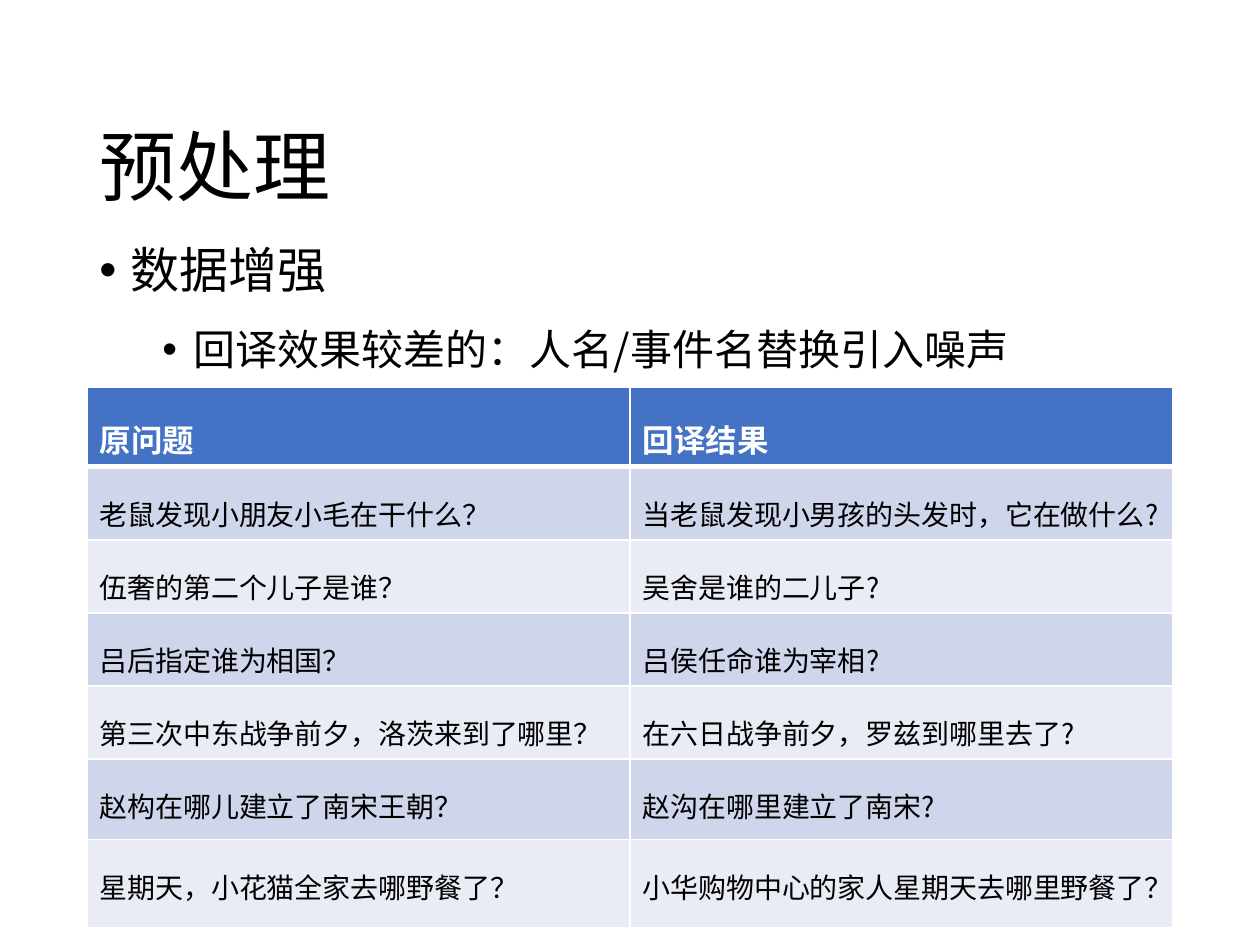
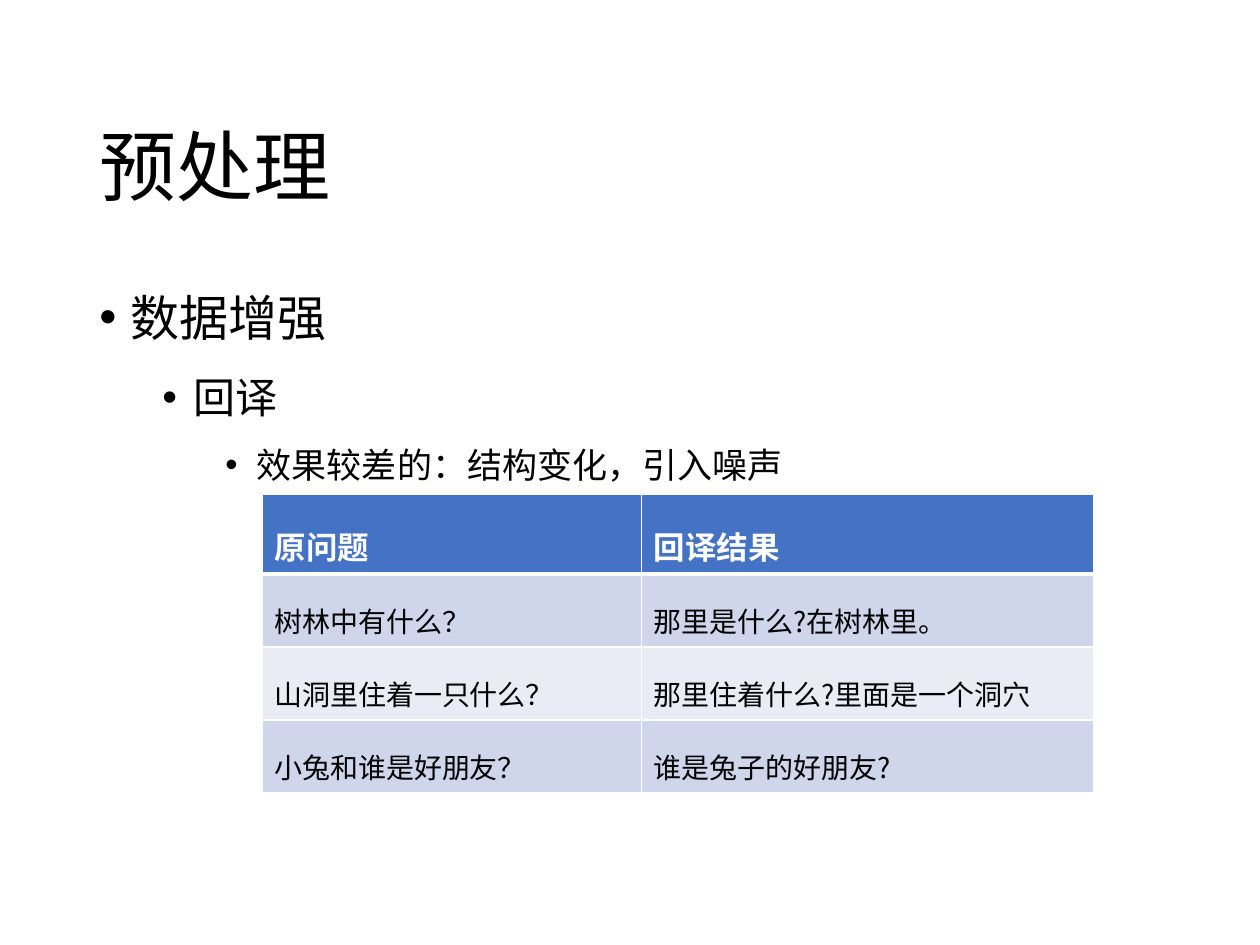
from dataclasses import dataclass
from typing import NamedTuple

from lxml.etree import SubElement as add_child
from pptx import Presentation
from pptx.dml.color import RGBColor
from pptx.enum.text import MSO_ANCHOR as Anchor
from pptx.oxml.ns import qn
from pptx.util import Emu, Inches, Pt

FONT = "Noto Sans CJK SC"
COLORS = {
    "text": "000000",
    "light": "FFFFFF",
    "header": "4472C4",
    "odd_row": "CFD5EA",
    "even_row": "E9EBF5",
}
SLIDE_WIDTH, SLIDE_HEIGHT = Inches(10), Inches(7.5)
COLUMNS, ROWS = 100, 75
TITLE = "预处理"
HEADINGS = ("原问题", "回译结果")
LINE_SPACING = 1.5
BULLET_SIZES = (28, 24, 20)
BULLET_STEP = 5
BULLET_HANG = 2.5
HEADER_HEIGHT = 6.35
ROW_HEIGHT = 5.8


class Area(NamedTuple):
    column: float
    row: float
    width: float
    height: float


TITLE_AREA = Area(6.9, 4, 86.2, 14.5)


@dataclass(frozen=True)
class QuestionTable:
    column: float
    row: float
    widths: tuple[float, ...]
    heights: tuple[float, ...]
    pairs: tuple[tuple[str, str], ...]


@dataclass(frozen=True)
class Page:
    body: Area
    bullets: tuple[str, ...]
    table: QuestionTable


PAGES = (
    Page(
        Area(6.9, 16.2, 86.2, 47.6),
        ("数据增强", "回译效果较差的：人名/事件名替换引入噪声"),
        QuestionTable(
            6.9, 30.7, (43.1, 43.1), (HEADER_HEIGHT, *[ROW_HEIGHT] * 4, 6.4, 7),
            (
                ("老鼠发现小朋友小毛在干什么？", "当老鼠发现小男孩的头发时，它在做什么?"),
                ("伍奢的第二个儿子是谁？", "吴舍是谁的二儿子?"),
                ("吕后指定谁为相国？", "吕侯任命谁为宰相?"),
                ("第三次中东战争前夕，洛茨来到了哪里？", "在六日战争前夕，罗兹到哪里去了?"),
                ("赵构在哪儿建立了南宋王朝？", "赵沟在哪里建立了南宋?"),
                ("星期天，小花猫全家去哪野餐了？", "小华购物中心的家人星期天去哪里野餐了？"),
            ),
        ),
    ),
    Page(
        Area(6.9, 20, 86.2, 47.6),
        ("数据增强", "回译", "效果较差的：结构变化，引入噪声"),
        QuestionTable(
            20.8, 39.2, (30.1, 35.9), (HEADER_HEIGHT, *[ROW_HEIGHT] * 3),
            (
                ("树林中有什么？", "那里是什么?在树林里。"),
                ("山洞里住着一只什么？", "那里住着什么?里面是一个洞穴"),
                ("小兔和谁是好朋友？", "谁是兔子的好朋友?"),
            ),
        ),
    ),
)


def across(columns: float) -> Emu:
    return Emu(round(SLIDE_WIDTH * columns / COLUMNS))


def down(rows: float) -> Emu:
    return Emu(round(SLIDE_HEIGHT * rows / ROWS))


def write(para, text: str, size: float, color: str = "text", bold: bool = False) -> None:
    para.add_run().text = text
    para.line_spacing = LINE_SPACING
    font = para.font
    font.size, font.bold, font.name = Pt(size), bold, FONT
    font.color.rgb = RGBColor.from_string(COLORS[color])
    properties = para._p.get_or_add_pPr().find(qn("a:defRPr"))
    add_child(properties, qn("a:ea"), typeface=FONT)


def add_text_frame(slide, area: Area):
    box = slide.shapes.add_textbox(
        across(area.column), down(area.row), across(area.width), down(area.height))
    box.text_frame.word_wrap = True
    return box.text_frame


def add_title(slide) -> None:
    frame = add_text_frame(slide, TITLE_AREA)
    frame.vertical_anchor = Anchor.MIDDLE
    write(frame.paragraphs[0], TITLE, 44)


def add_bullets(slide, area: Area, bullets: tuple[str, ...]) -> None:
    frame = add_text_frame(slide, area)
    for level, (text, size) in enumerate(zip(bullets, BULLET_SIZES)):
        para = frame.add_paragraph() if level else frame.paragraphs[0]
        para.level = level
        para.space_before = Pt(0 if level else 4.5)
        properties = para._p.get_or_add_pPr()
        properties.set("marL", str(across(BULLET_HANG + level * BULLET_STEP)))
        properties.set("indent", str(-across(BULLET_HANG)))
        add_child(properties, qn("a:buFont"), typeface="Arial")
        add_child(properties, qn("a:buChar"), char="•")
        write(para, text, size)


def add_borders(cell, widths: dict[str, float]) -> None:
    properties = cell._tc.get_or_add_tcPr()
    for position, (side, width) in enumerate(widths.items()):
        line = properties.makeelement(qn(f"a:ln{side}"), {"w": str(Pt(width))})
        fill = add_child(line, qn("a:solidFill"))
        add_child(fill, qn("a:srgbClr"), val=COLORS["light"])
        properties.insert(position, line)


def add_question_table(slide, content: QuestionTable) -> None:
    lines = (HEADINGS, *content.pairs)
    table = slide.shapes.add_table(
        len(lines), len(HEADINGS), across(content.column), down(content.row),
        across(sum(content.widths)), down(sum(content.heights))).table
    for column, width in zip(table.columns, content.widths):
        column.width = across(width)
    for index, (row, height, texts) in enumerate(
            zip(table.rows, content.heights, lines)):
        row.height = down(height)
        header = index == 0
        fill = "header" if header else "odd_row" if index % 2 else "even_row"
        for cell, text in zip(row.cells, texts):
            cell.fill.solid()
            cell.fill.fore_color.rgb = RGBColor.from_string(COLORS[fill])
            top = 3 if index == 1 else 1
            add_borders(cell, {"L": 1, "R": 1, "T": top, "B": 3 if header else 1})
            write(cell.text_frame.paragraphs[0], text, 18 if header else 16,
                  "light" if header else "text", header)


def main() -> None:
    deck = Presentation()
    deck.slide_width, deck.slide_height = SLIDE_WIDTH, SLIDE_HEIGHT
    for page in PAGES:
        slide = deck.slides.add_slide(deck.slide_layouts[6])
        add_title(slide)
        add_bullets(slide, page.body, page.bullets)
        add_question_table(slide, page.table)
    deck.save("out.pptx")


if __name__ == "__main__":
    main()
